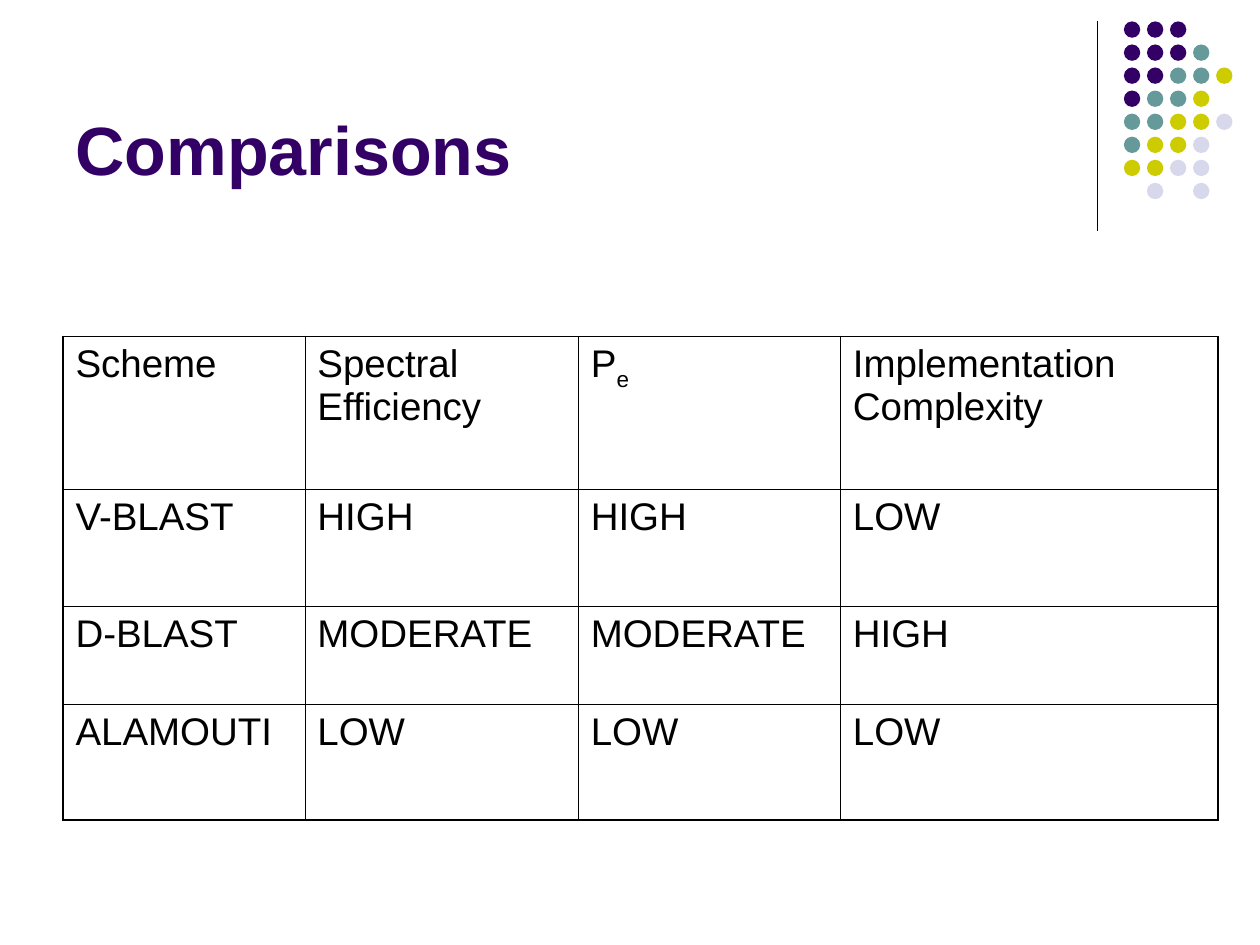
from lxml import etree
from pptx import Presentation
from pptx.dml.color import RGBColor
from pptx.enum import shapes, text
from pptx.oxml import ns
from pptx.util import Inches, Pt

TITLE = "Comparisons"
ROWS = [
    ("Scheme", "Spectral Efficiency", "Pe", "Implementation Complexity"),
    ("V-BLAST", "HIGH", "HIGH", "LOW"),
    ("D-BLAST", "MODERATE", "MODERATE", "HIGH"),
    ("ALAMOUTI", "LOW", "LOW", "LOW"),
]
WIDTHS = [1.92, 2.17, 2.08, 3]
HEIGHTS = [1.21, 0.93, 0.78, 0.92]

FONT = "Arial"
BLACK = RGBColor(0, 0, 0)
PURPLE = RGBColor(0x33, 0x00, 0x66)
TEAL = RGBColor(0x66, 0x99, 0x99)
LIME = RGBColor(0xCC, 0xCC, 0x00)
PALE = RGBColor(0xD8, 0xD8, 0xEC)

# One letter per dot; a space leaves a gap in the grid
DOTS = ["PPP", "PPPT", "PPTTL", "PTTL", "TTLLA", "TLLA", "LLAA", " A A"]
HUES = {"P": PURPLE, "T": TEAL, "L": LIME, "A": PALE}
DOT_X, DOT_Y, STEP, SIZE = 8.92, 0.17, 0.183, 0.13
THIN, THICK = 0.45, 1.08


def style(font, size, color, bold=False):
    font.name, font.size, font.bold = FONT, Pt(size), bold
    font.color.rgb = color


def add_rule(slide):
    x = Inches(8.71)
    rule = slide.shapes.add_connector(
        shapes.MSO_CONNECTOR.STRAIGHT, x, Inches(0.17), x, Inches(1.83))
    rule.line.color.rgb = BLACK
    rule.line.width = Pt(0.75)
    etree.SubElement(rule._element.spPr, ns.qn("a:effectLst"))


def add_dots(slide):
    group = slide.shapes.add_group_shape()
    for r, line in enumerate(DOTS):
        for c, key in enumerate(line):
            if key == " ":
                continue
            dot = group.shapes.add_shape(
                shapes.MSO_SHAPE.OVAL, Inches(DOT_X + c * STEP),
                Inches(DOT_Y + r * STEP), Inches(SIZE), Inches(SIZE))
            dot.shadow.inherit = False
            dot.fill.solid()
            dot.fill.fore_color.rgb = HUES[key]
            dot.line.fill.background()


def add_title(slide):
    title = slide.shapes.title
    title.left, title.top = Inches(0.5), Inches(0.13)
    title.width, title.height = Inches(8.25), Inches(1.42)
    frame = title.text_frame
    frame.text = TITLE
    frame.auto_size = text.MSO_AUTO_SIZE.NONE
    frame.vertical_anchor = text.MSO_ANCHOR.BOTTOM
    para = frame.paragraphs[0]
    para.alignment = text.PP_ALIGN.LEFT
    style(para.runs[0].font, 39, PURPLE, True)


def set_edges(cell, edges):
    """Draw the cell's borders; edges maps L, R, T, B to widths in points."""
    props = cell._tc.get_or_add_tcPr()
    for side, width in edges.items():
        line = etree.SubElement(props, ns.qn(f"a:ln{side}"), w=str(Pt(width)))
        fill = etree.SubElement(line, ns.qn("a:solidFill"))
        etree.SubElement(fill, ns.qn("a:srgbClr"), val=str(BLACK))


def fill_cell(cell, words):
    para = cell.text_frame.paragraphs[0]
    para.space_before = Pt(5.5)
    parts = ("P", "e") if words == "Pe" else (words,)
    for part in parts:
        run = para.add_run()
        run.text = part
        style(run.font, 22, BLACK)
    if len(parts) > 1:
        run._r.get_or_add_rPr().set("baseline", "-25000")


def add_grid(slide):
    rows, cols = len(HEIGHTS), len(WIDTHS)
    grid = slide.shapes.add_table(
        rows, cols, Inches(0.5), Inches(2.67),
        Inches(sum(WIDTHS)), Inches(sum(HEIGHTS))).table
    grid.first_row = grid.horz_banding = False
    for col, width in zip(grid.columns, WIDTHS):
        col.width = Inches(width)
    for r, height in enumerate(HEIGHTS):
        grid.rows[r].height = Inches(height)
        for c, words in enumerate(ROWS[r]):
            cell = grid.cell(r, c)
            fill_cell(cell, words)
            outer = {"L": c == 0, "R": c == cols - 1,
                     "T": r == 0, "B": r == rows - 1}
            set_edges(cell, {side: THICK if out else THIN
                             for side, out in outer.items()})
            cell.fill.background()


def main():
    deck = Presentation()
    deck.slide_width, deck.slide_height = Inches(10), Inches(7.5)
    slide = deck.slides.add_slide(deck.slide_layouts.get_by_name("Title Only"))
    add_rule(slide)
    add_dots(slide)
    add_title(slide)
    add_grid(slide)
    deck.save("out.pptx")


if __name__ == "__main__":
    main()
